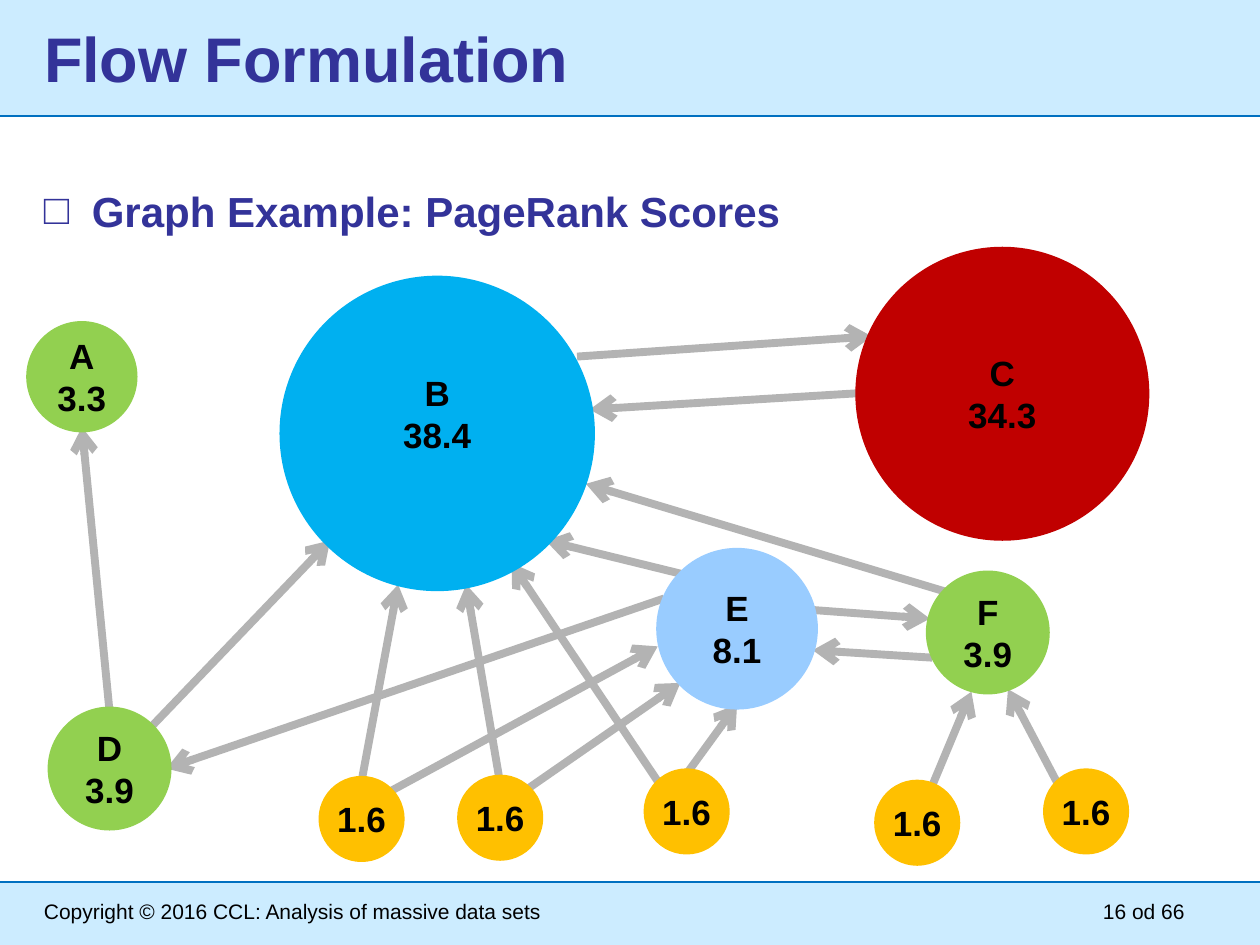
from collections import namedtuple

from lxml.etree import SubElement
from pptx import Presentation
from pptx.dml.color import RGBColor
from pptx.enum.shapes import MSO_CONNECTOR as Connector, MSO_SHAPE as Shape
from pptx.enum.text import MSO_ANCHOR as Anchor, PP_ALIGN as Align
from pptx.oxml.ns import qn
from pptx.util import Inches, Pt

FONT = "Arial"
BAND_BLUE = RGBColor(0xCC, 0xEC, 0xFF)
RULE_BLUE = RGBColor(0x00, 0x70, 0xC0)
INDIGO = RGBColor(0x33, 0x33, 0x99)
BLACK = RGBColor(0x00, 0x00, 0x00)
GREY = RGBColor(0xB3, 0xB3, 0xB3)
BLUE = RGBColor(0x00, 0xB0, 0xF0)
RED = RGBColor(0xC0, 0x00, 0x00)
PALE_BLUE = RGBColor(0x99, 0xCC, 0xFF)
GREEN = RGBColor(0x92, 0xD0, 0x50)
AMBER = RGBColor(0xFF, 0xC0, 0x00)

Box = namedtuple("Box", "left top width height")

PAGES = [
    ("B", "38.4", 2.01, 0.23, 2.42, BLUE),
    ("C", "34.3", 6.58, 0, 2.25, RED),
    ("E", "8.1", 5, 2.39, 1.2, PALE_BLUE),
    ("F", "3.9", 7.14, 2.57, 0.9, GREEN),
    ("D", "3.9", 0.17, 3.65, 0.9, GREEN),
    ("A", "3.3", 0, 0.59, 0.8, GREEN),
]
SMALL_PAGES = [(2.32, 4.2), (3.42, 4.19), (4.9, 4.14), (6.73, 4.23), (8.07, 4.14)]
SMALL_SIZE = 0.6
LINKS = [
    (4.33, 0.83, 6.67, 0.67),
    (6.58, 1.12, 4.43, 1.25),
    (5.18, 2.56, 4.08, 2.29),
    (0.93, 3.79, 2.37, 2.29),
    (0.62, 3.65, 0.4, 1.39),
    (2.62, 4.2, 2.91, 2.64),
    (2.83, 4.29, 4.97, 3.13),
    (5.02, 2.75, 1.07, 4.1),
    (3.72, 4.22, 3.45, 2.64),
    (3.91, 4.28, 5.15, 3.42),
    (5.2, 4.14, 5.6, 3.59),
    (4.99, 4.23, 3.81, 2.47),
    (7.13, 4.28, 7.46, 3.49),
    (8.15, 4.23, 7.75, 3.47),
    (7.27, 2.7, 4.4, 1.84),
    (7.15, 3.22, 6.2, 3.16),
    (6.18, 2.84, 7.13, 2.91),
]


def inches(values):
    return [Inches(value) for value in values]


def add_run(paragraph, text, size, color, bold=False):
    run = paragraph.add_run()
    run.text = text
    run.font.name = FONT
    run.font.size = Pt(size)
    run.font.bold = bold
    run.font.color.rgb = color


def add_label(slide, box, text, size, color, bold=False, align=Align.LEFT):
    frame = slide.shapes.add_textbox(*inches(box)).text_frame
    frame.word_wrap = True
    paragraph = frame.paragraphs[0]
    paragraph.alignment = align
    add_run(paragraph, text, size, color, bold)
    return paragraph


def add_filled(slide, kind, box, fill, line, width):
    filled = slide.shapes.add_shape(kind, *inches(box))
    filled.shadow.inherit = False
    filled.fill.solid()
    filled.fill.fore_color.rgb = fill
    filled.line.color.rgb = line
    filled.line.width = Pt(width)
    return filled


def add_band(slide, box):
    add_filled(slide, Shape.RECTANGLE, box, BAND_BLUE, RULE_BLUE, 1.5)


def add_header(slide, box):
    add_band(slide, box)
    title = slide.shapes.title
    slide.shapes._spTree.append(title._element)
    title.left, title.top, title.width, title.height = inches(
        (box.left + 0.33, box.top + 0.33, 9, 0.75))
    title.text_frame.vertical_anchor = Anchor.MIDDLE
    paragraph = title.text_frame.paragraphs[0]
    paragraph.alignment = Align.LEFT
    add_run(paragraph, "Flow Formulation", 36, INDIGO, True)


def add_footer(slide, box):
    add_band(slide, box)
    top = box.top + 0.08
    add_label(slide, Box(box.left + 0.33, top, 6.75, 0.43),
              "Copyright © 2016 CCL: Analysis of massive data sets", 12, BLACK)
    add_label(slide, Box(box.left + 7.83, top, 1.75, 0.43),
              "16 od 66", 12, BLACK, align=Align.RIGHT)


def add_heading(slide, box):
    heading = add_label(slide, box, "Graph Example: PageRank Scores", 24, INDIGO, True)
    properties = heading._p.get_or_add_pPr()
    properties.set("marL", str(Inches(0.38)))
    properties.set("indent", str(-Inches(0.38)))
    SubElement(properties, qn("a:buFont"), typeface=FONT)
    SubElement(properties, qn("a:buChar"), char="□")


def add_link(slide, box, link):
    x1, y1, x2, y2 = link
    arrow = slide.shapes.add_connector(Connector.STRAIGHT, *inches(
        (box.left + x1, box.top + y1, box.left + x2, box.top + y2)))
    arrow.line.color.rgb = GREY
    arrow.line.width = Pt(4.5)
    SubElement(arrow.line._get_or_add_ln(), qn("a:tailEnd"), type="arrow")
    SubElement(arrow._element.spPr, qn("a:effectLst"))


def add_page(slide, box, words, color):
    page = add_filled(slide, Shape.OVAL, box, color, color, 6)
    frame = page.text_frame
    frame.word_wrap = False
    frame.vertical_anchor = Anchor.MIDDLE
    frame.margin_left = frame.margin_right = frame.margin_top = frame.margin_bottom = 0
    for index, word in enumerate(words):
        paragraph = frame.add_paragraph() if index else frame.paragraphs[0]
        paragraph.alignment = Align.CENTER
        add_run(paragraph, word, 20, BLACK, True)
    return frame


def add_graph(slide, box):
    for link in LINKS:
        add_link(slide, box, link)
    for name, score, x, y, size, color in PAGES:
        frame = add_page(slide, Box(box.left + x, box.top + y, size, size),
                         (name, score), color)
        if name == "B":
            frame.margin_bottom = Inches(0.32)
    for x, y in SMALL_PAGES:
        add_page(slide, Box(box.left + x, box.top + y, SMALL_SIZE, SMALL_SIZE),
                 ("1.6",), AMBER)


def main():
    deck = Presentation()
    deck.slide_width, deck.slide_height = Inches(10), Inches(7.5)
    slide = deck.slides.add_slide(deck.slide_layouts[5])
    add_footer(slide, Box(-0.08, 7, 10.17, 0.58))
    add_header(slide, Box(-0.08, -0.25, 10.17, 1.17))
    add_heading(slide, Box(0.25, 1.42, 9.25, 0.5))
    add_graph(slide, Box(0.25, 2, 8.83, 4.83))
    deck.save("out.pptx")


if __name__ == "__main__":
    main()
